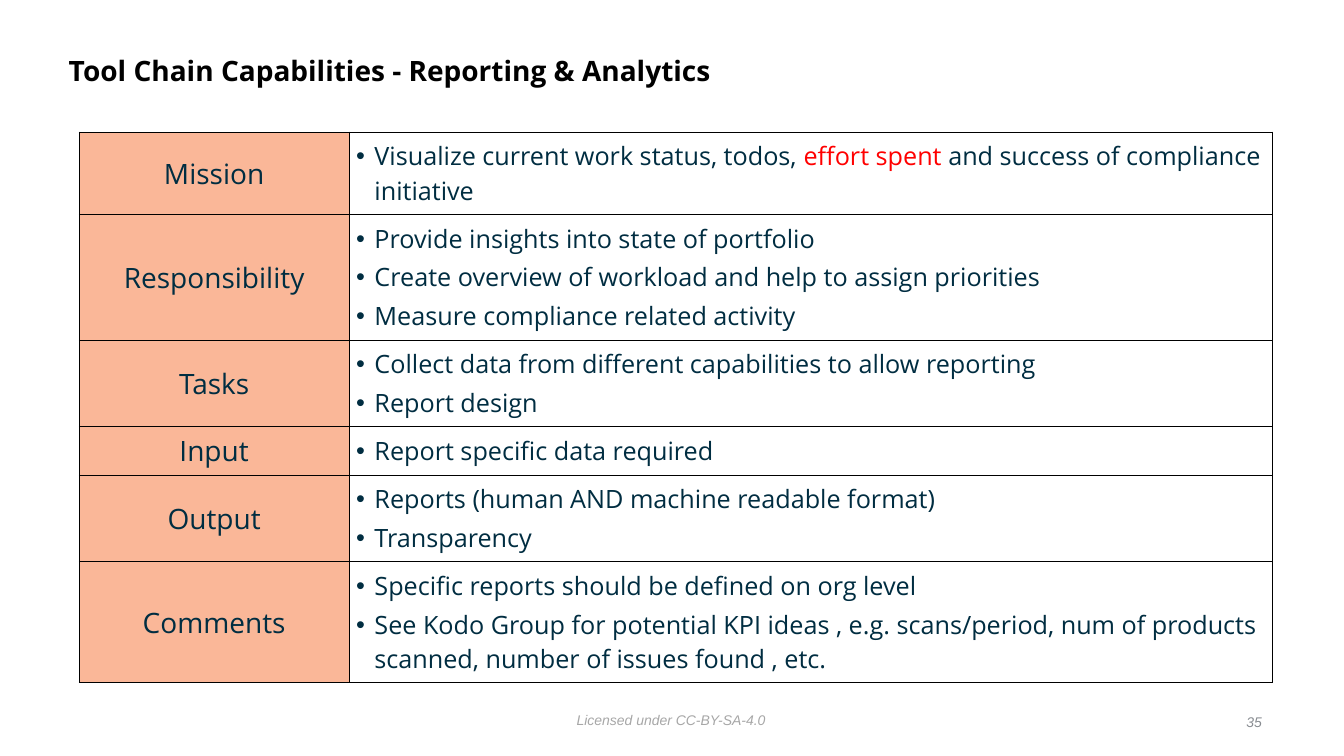
from dataclasses import dataclass

from lxml.etree import SubElement
from pptx import Presentation
from pptx.dml.color import RGBColor
from pptx.enum.text import MSO_ANCHOR, MSO_AUTO_SIZE, PP_ALIGN
from pptx.oxml.ns import qn
from pptx.util import Pt

BLACK = RGBColor(0x00, 0x00, 0x00)
NAVY = RGBColor(0x00, 0x2D, 0x41)
RED = RGBColor(0xFF, 0x00, 0x00)
PEACH = RGBColor(0xFA, 0xB7, 0x98)
SILVER = RGBColor(0xA7, 0xA7, 0xA7)
GRAY = RGBColor(0x88, 0x8C, 0x91)


@dataclass
class Row:
    label: str
    height: float
    points: list[str]
    accent: str = ""


@dataclass
class Note:
    text: str
    left: float
    top: float
    width: float
    color: RGBColor
    align: PP_ALIGN


ROWS = [
    Row("Mission", 59, ["Visualize current work status, todos, effort spent and success of compliance initiative"],
        "effort spent "),
    Row("Responsibility", 89, ["Provide insights into state of portfolio",
                               "Create overview of workload and help to assign priorities",
                               "Measure compliance related activity"]),
    Row("Tasks", 62, ["Collect data from different capabilities to allow reporting", "Report design"]),
    Row("Input", 34, ["Report specific data required"]),
    Row("Output", 62, ["Reports (human AND machine readable format)", "Transparency"]),
    Row("Comments", 86, ["Specific reports should be defined on org level",
                         "See Kodo Group for potential KPI ideas , e.g. scans/period, "
                         "num of products scanned, number of issues found , etc."]),
]
NOTES = [
    Note("Licensed under CC-BY-SA-4.0", 408.25, 504.75, 143.25, SILVER, PP_ALIGN.LEFT),
    Note("35", 885.5, 506, 19.5, GRAY, PP_ALIGN.RIGHT),
]
COLS = [193, 659.5]


def write(para, text: str, *, size: float = 18, font: str = "Open Sans", color: RGBColor = NAVY,
          bold: bool = False, italic: bool = False, align: PP_ALIGN = PP_ALIGN.LEFT) -> None:
    para.alignment = align
    run = para.add_run()
    run.text = text
    run.font.size = Pt(size)
    run.font.name = font
    run.font.color.rgb = color
    run.font.bold = bold
    run.font.italic = italic


def inset(area, gap: float) -> None:
    area.margin_left = area.margin_right = Pt(gap)
    area.margin_top = area.margin_bottom = Pt(gap)


def bullet(para) -> None:
    para.space_before = Pt(3)
    props = para._p.get_or_add_pPr()
    props.set("marL", str(Pt(13)))
    props.set("indent", str(-Pt(13)))
    SubElement(props, qn("a:buFont"), typeface="Arial")
    SubElement(props, qn("a:buChar"), char="•")


def border(cell) -> None:
    props = cell._tc.get_or_add_tcPr()
    for side in ("lnL", "lnR", "lnT", "lnB"):
        line = SubElement(props, qn(f"a:{side}"), w=str(Pt(0.5)))
        SubElement(SubElement(line, qn("a:solidFill")), qn("a:srgbClr"), val=str(BLACK))


def draw_row(row: Row, label, body) -> None:
    for cell, gap in ((label, 0), (body, 5)):
        border(cell)
        inset(cell, gap)
    label.fill.solid()
    label.fill.fore_color.rgb = PEACH
    label.vertical_anchor = MSO_ANCHOR.MIDDLE
    write(label.text_frame.paragraphs[0], row.label, size=20, align=PP_ALIGN.CENTER)
    body.fill.background()
    frame = body.text_frame
    for i, point in enumerate(row.points):
        para = frame.add_paragraph() if i else frame.paragraphs[0]
        bullet(para)
        if row.accent:
            head, tail = point.split(row.accent)
            write(para, head)
            write(para, row.accent, color=RED)
            write(para, tail)
        else:
            write(para, point)


def draw_table(slide) -> None:
    total = sum(row.height for row in ROWS)
    table = slide.shapes.add_table(len(ROWS), len(COLS), Pt(56.5), Pt(94.25),
                                   Pt(sum(COLS)), Pt(total)).table
    table.first_row = False
    table.horz_banding = False
    for col, width in zip(table.columns, COLS):
        col.width = Pt(width)
    for i, row in enumerate(ROWS):
        table.rows[i].height = Pt(row.height)
        draw_row(row, table.cell(i, 0), table.cell(i, 1))


def draw_title(slide) -> None:
    title = slide.shapes.title
    title.left, title.top, title.width, title.height = Pt(45.5), Pt(28), Pt(774), Pt(47)
    frame = title.text_frame
    inset(frame, 3.6)
    frame.word_wrap = True
    frame.auto_size = MSO_AUTO_SIZE.NONE
    frame.vertical_anchor = MSO_ANCHOR.MIDDLE
    para = frame.paragraphs[0]
    para.line_spacing = 0.9
    write(para, "Tool Chain Capabilities - Reporting & Analytics", size=20, color=BLACK, bold=True)


def draw_note(slide, note: Note) -> None:
    box = slide.shapes.add_textbox(Pt(note.left), Pt(note.top), Pt(note.width), Pt(18))
    frame = box.text_frame
    inset(frame, 3.6)
    frame.word_wrap = False
    write(frame.paragraphs[0], note.text, size=10, font="Arial", color=note.color,
          italic=True, align=note.align)


def main() -> None:
    deck = Presentation()
    deck.slide_width, deck.slide_height = Pt(960), Pt(540)
    slide = deck.slides.add_slide(deck.slide_layouts[5])
    draw_title(slide)
    draw_table(slide)
    for note in NOTES:
        draw_note(slide, note)
    deck.save("out.pptx")


if __name__ == "__main__":
    main()
